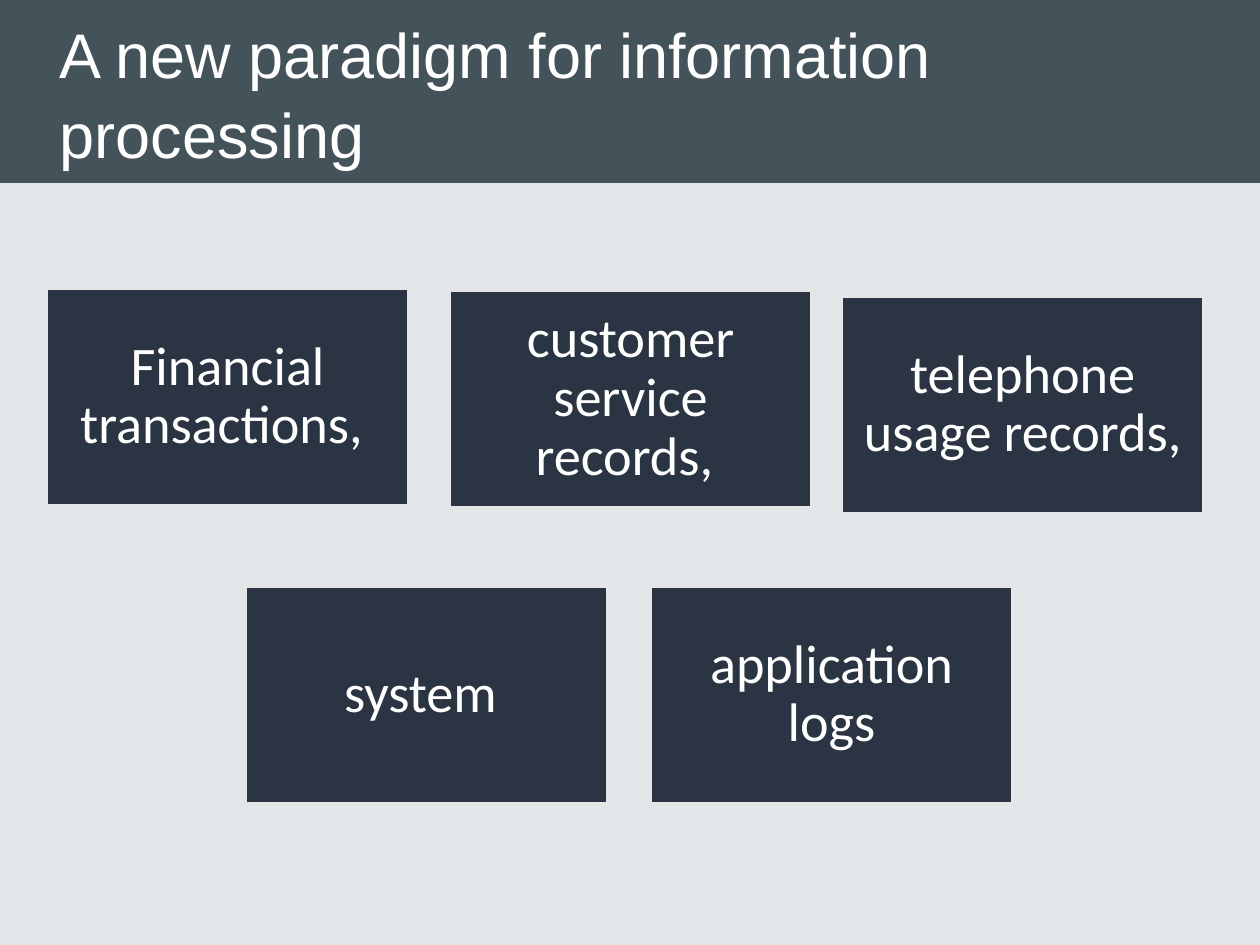
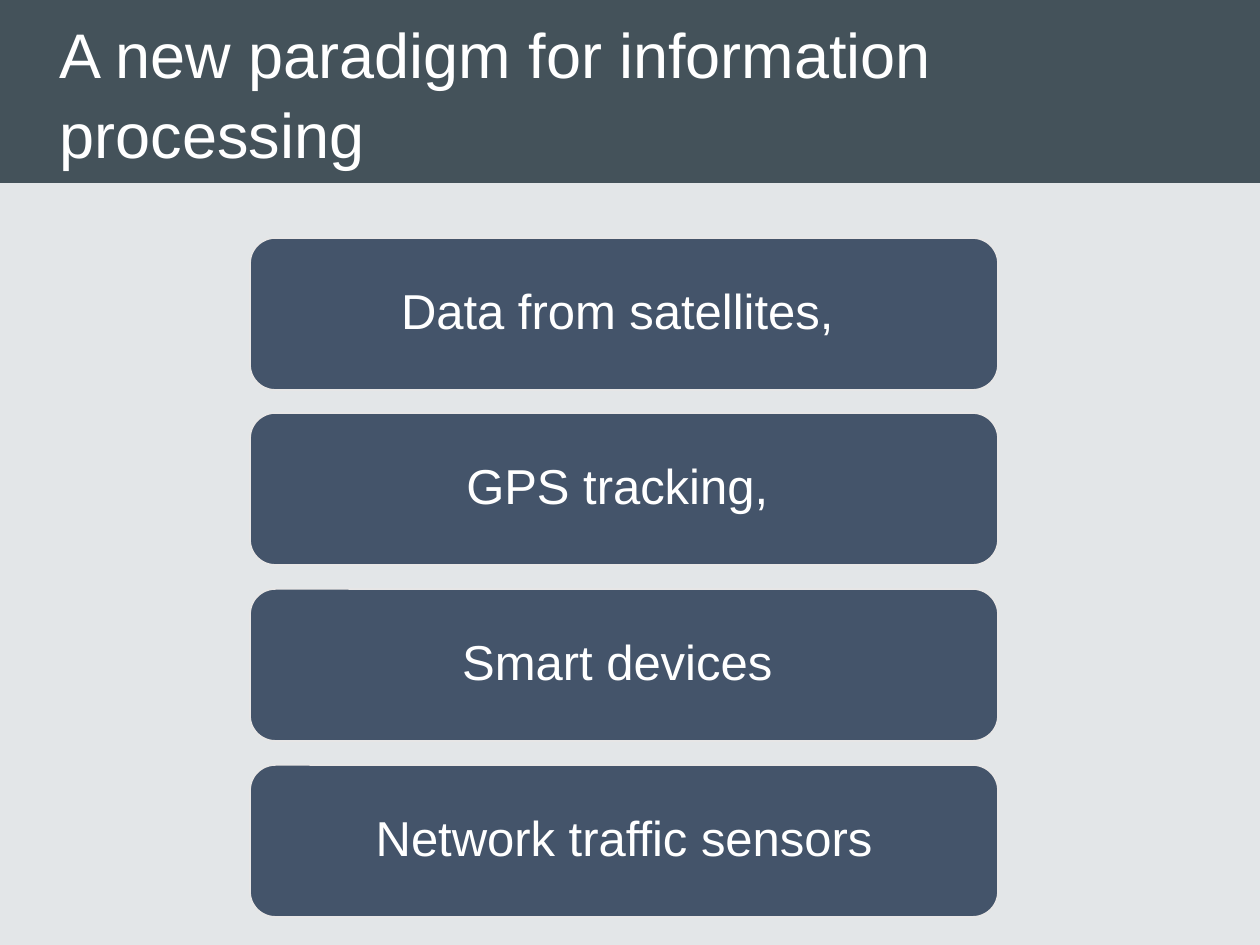
from pptx import Presentation
from pptx.dml.color import RGBColor
from pptx.enum.shapes import MSO_SHAPE
from pptx.enum.text import MSO_ANCHOR, MSO_AUTO_SIZE, PP_ALIGN
from pptx.util import Emu, Pt

RECT, ROUND = MSO_SHAPE.RECTANGLE, MSO_SHAPE.ROUNDED_RECTANGLE
MIDDLE, FIXED = MSO_ANCHOR.MIDDLE, MSO_AUTO_SIZE.NONE
LEFT, CENTER = PP_ALIGN.LEFT, PP_ALIGN.CENTER

WIDE, HIGH, BAND_H = 1260, 945, 183
PAPER, BAND, NAVY, SLATE = "E3E6E8", "44525A", "2A3442", "44546A"
EDGE, WHITE = "E7E6E6", "FFFFFF"
TITLE = "A new paradigm for information processing"
TITLE_ONLY = 5


def px(count):
    """Turn pixels (126 to the inch) into EMU."""
    return Emu(round(count * 914400 / 126))


def paint(color, code):
    color.rgb = RGBColor.from_string(code)


class Deck:
    def __init__(self):
        self.prs = Presentation()
        self.prs.slide_width, self.prs.slide_height = px(WIDE), px(HIGH)
        self.layout = self.prs.slide_layouts[TITLE_ONLY]
        back = self.layout.background.fill
        back.solid()
        paint(back.fore_color, PAPER)
        self.slide = None

    def page(self, title):
        first = self.slide is None
        self.slide = self.prs.slides.add_slide(self.layout)
        if first:
            self.band()
        head = self.slide.shapes.title
        head.left, head.top, head.width, head.height = map(px, (47, 0, 1155, BAND_H))
        self.label(head, title, "Arial", 36, LEFT, 1.05)

    def band(self):
        """Draw the title band and move it to the layout, behind its placeholders."""
        bar = self.shape(RECT, (0, 0, WIDE, BAND_H), BAND)
        self.layout.shapes.element.insert(2, bar.element)

    def shape(self, kind, area, fill, edge=None):
        form = self.slide.shapes.add_shape(kind, *map(px, area))
        form.shadow.inherit = False
        form.fill.solid()
        paint(form.fill.fore_color, fill)
        if edge:
            paint(form.line.color, edge)
            form.line.width = Pt(1)
        else:
            form.line.fill.background()
        return form

    def label(self, form, text, font, size, align, lead):
        frame = form.text_frame
        frame.word_wrap = True
        frame.auto_size = FIXED
        frame.vertical_anchor = MIDDLE
        frame.text = text
        par = frame.paragraphs[0]
        par.alignment, par.line_spacing = align, lead
        par.font.name, par.font.size = font, Pt(size)
        paint(par.font.color, WHITE)

    def card(self, kind, area, fill, text, font, size, inset):
        form = self.shape(kind, area, fill, EDGE)
        self.label(form, text, font, size, CENTER, 0.9)
        frame = form.text_frame
        frame.margin_left = frame.margin_right = px(inset)
        frame.margin_top = frame.margin_bottom = px(inset)


def main():
    deck = Deck()

    deck.page(TITLE)
    records = [
        (47, 289, "Financial transactions, "),
        (450, 291, "customer service records, "),
        (842, 297, "telephone usage records, "),
        (246, 587, "system "),
        (651, 587, "application logs"),
    ]
    for left, top, text in records:
        deck.card(RECT, (left, top, 361, 216), NAVY, text, "Calibri", 31, 16)

    deck.page(TITLE)
    feeds = ["Data from satellites, ", "GPS tracking, ",
             "Smart devices ", "Network traffic sensors"]
    first, last = 238, 765
    for row, text in enumerate(feeds):
        top = first + row * (last - first) // (len(feeds) - 1)
        deck.card(ROUND, (250, top, 748, 152), SLATE, text, "Arial", 28, 15)

    deck.prs.save("out.pptx")


if __name__ == "__main__":
    main()
